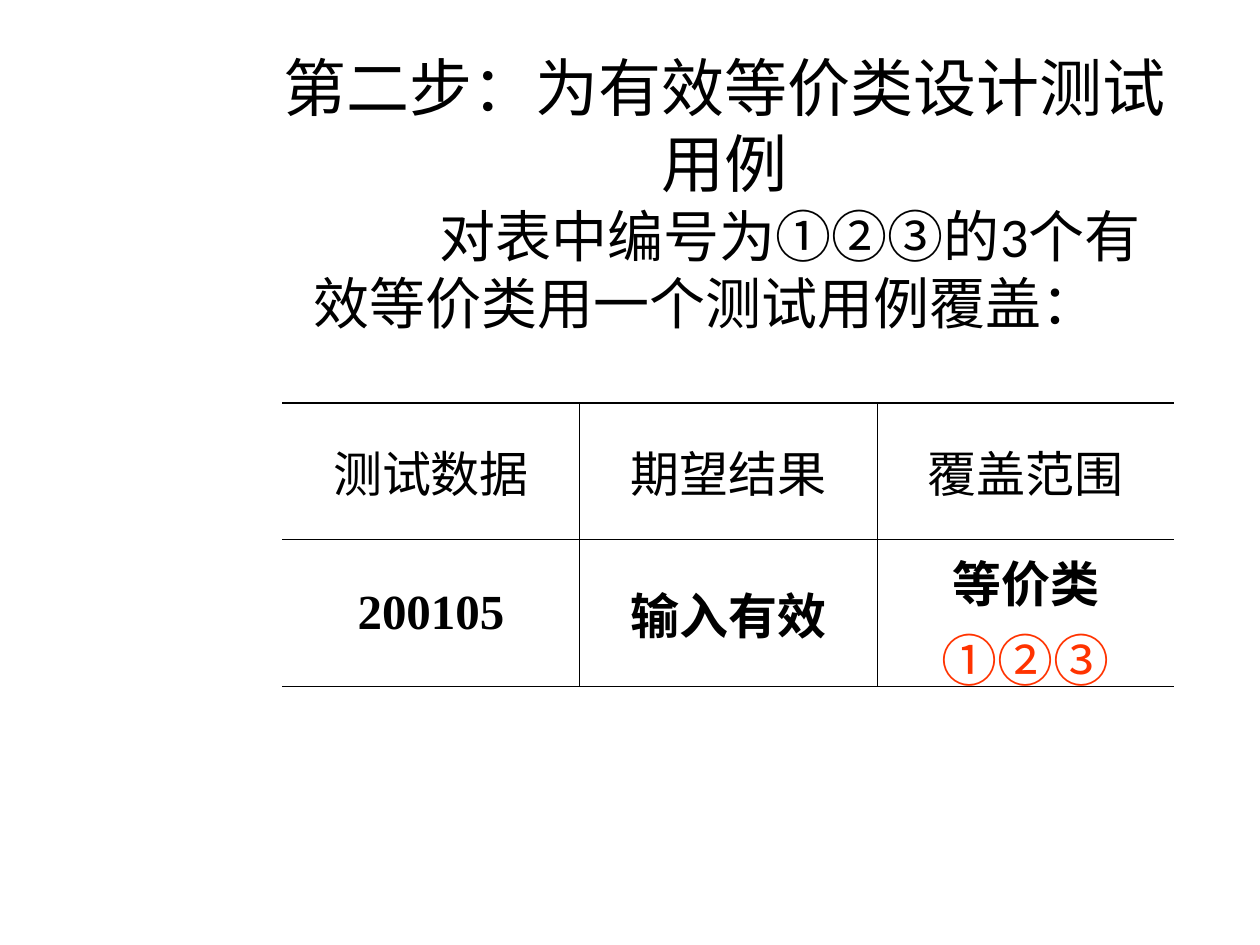
from lxml.etree import SubElement as add_element
from pptx import Presentation
from pptx.dml.color import RGBColor
from pptx.enum.text import MSO_ANCHOR as Anchor, PP_ALIGN as Align
from pptx.oxml.ns import qn
from pptx.util import Inches, Pt

COLORS = {"ink": "000000", "mark": "FF3300"}
OUTER, INNER = 1.08, 0.45

deck = Presentation()
deck.slide_width, deck.slide_height = Inches(10), Inches(7.5)
page = deck.slides.add_slide(deck.slide_layouts[6])


def add_span(para, text, size=28, font="Times New Roman", color="ink", bold=False):
    span = para.add_run()
    span.text = text
    span.font.size, span.font.name, span.font.bold = Pt(size), font, bold
    span.font.color.rgb = RGBColor.from_string(COLORS[color])


def add_border(cell, side, width):
    """Draw one cell side (L, R, T or B); a zero width hides it."""
    line = add_element(cell._tc.get_or_add_tcPr(), qn(f"a:ln{side}"), w=str(Pt(width)))
    if width:
        fill = add_element(line, qn("a:solidFill"))
        add_element(fill, qn("a:srgbClr"), val=COLORS["ink"])
    else:
        add_element(line, qn("a:noFill"))


# Heading and explanation
texts = [
    ("第二步：为有效等价类设计测试用例", 36, (2.01, 0.36, 7.48, 1.25), Align.CENTER, Anchor.MIDDLE),
    ("对表中编号为①②③的3个有效等价类用一个测试用例覆盖：", 32, (2.01, 1.55, 7.32, 1.34), Align.LEFT, Anchor.TOP),
]
for text, size, place, align, anchor in texts:
    box = page.shapes.add_textbox(*map(Inches, place))
    frame = box.text_frame
    frame.word_wrap, frame.vertical_anchor = True, anchor
    para = frame.paragraphs[0]
    para.alignment = align
    if align == Align.LEFT:
        indents = para._p.get_or_add_pPr()
        indents.set("marL", str(Inches(0.38)))
        indents.set("indent", str(Inches(1)))
    add_span(para, text, size=size, font="Calibri")

# Test case table: each cell is a list of (text, format) spans
rows = [
    [[(head, {})] for head in ("测试数据", "期望结果", "覆盖范围")],
    [
        [("200105", {"bold": True})],
        [("输入有效", {"bold": True})],
        [("等价类", {"bold": True}), ("①②③", {"size": 32, "color": "mark"})],
    ],
]
row_heights = [1.08, 1.17]
column_width = 2.36
last_row, last_column = len(rows) - 1, len(rows[0]) - 1

table = page.shapes.add_table(
    len(rows), len(rows[0]), Inches(2.24), Inches(3.2),
    Inches(column_width * len(rows[0])), Inches(sum(row_heights)),
).table
table.first_row = table.horz_banding = False
for column in table.columns:
    column.width = Inches(column_width)

for r, row in enumerate(rows):
    table.rows[r].height = Inches(row_heights[r])
    for c, spans in enumerate(row):
        cell = table.cell(r, c)
        cell.vertical_anchor = Anchor.MIDDLE
        add_border(cell, "L", INNER if c > 0 else 0)
        add_border(cell, "R", INNER if c < last_column else 0)
        add_border(cell, "T", INNER if r > 0 else OUTER)
        add_border(cell, "B", INNER if r < last_row else OUTER)
        cell.fill.background()
        para = cell.text_frame.paragraphs[0]
        para.alignment = Align.CENTER
        for text, style in spans:
            add_span(para, text, **style)

deck.save("out.pptx")
